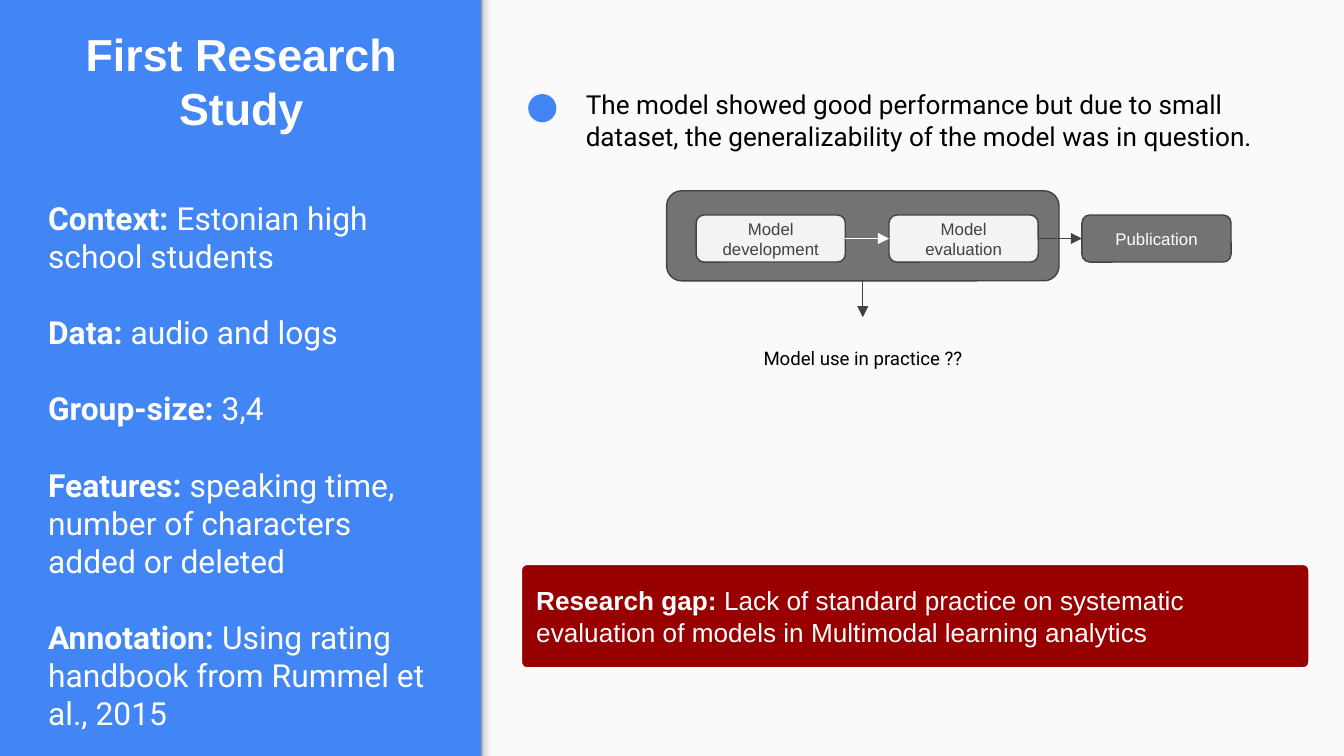
import copy

import pptx
import pptx.dml.color
import pptx.enum.dml
import pptx.enum.shapes
import pptx.enum.text
import pptx.oxml.ns
import pptx.util
from lxml import etree

RGB = pptx.dml.color.RGBColor
KIND = pptx.enum.shapes.MSO_SHAPE
ALIGN = pptx.enum.text.PP_ALIGN
ANCHOR = pptx.enum.text.MSO_ANCHOR
NAME = pptx.oxml.ns.qn

BLUE = RGB(0x42, 0x85, 0xF4)
PAPER = RGB(0xFA, 0xFA, 0xFA)
WHITE = RGB(0xFF, 0xFF, 0xFF)
BLACK = RGB(0, 0, 0)
DARK = RGB(0x42, 0x42, 0x42)
GRAY = RGB(0x73, 0x73, 0x73)
LIGHT = RGB(0xF3, 0xF3, 0xF3)
RED = RGB(0x98, 0, 0)
SHADE = [(0, RGB(0x99, 0x99, 0x99)), (0.2, RGB(0xDE, 0xDE, 0xDE)),
         (0.64, RGB(0xF9, 0xF9, 0xF9)), (1, RGB(0xF9, 0xF9, 0xF9))]

WIDE, HIGH = 2000, 1125
SCALE = 4572  # EMU in one px, 200 px to the inch


def emu(*sizes):
    return [pptx.util.Emu(size * SCALE) for size in sizes]


class Deck:
    head = "Arial"
    body = "Roboto"
    inset = 20
    line = pptx.util.Pt(0.75)

    def __init__(self):
        self.file = pptx.Presentation()
        self.file.slide_width, self.file.slide_height = emu(WIDE, HIGH)
        self.slide = self.file.slides.add_slide(self.file.slide_layouts[5])
        fill = self.slide.background.fill
        fill.solid()
        fill.fore_color.rgb = BLUE

    def label(self, shape, paras, size, font, color, align=ALIGN.LEFT,
              anchor=ANCHOR.TOP, gap=0):
        """Each paragraph is a pair: bold lead, plain rest."""
        frame = shape.text_frame
        frame.word_wrap = True
        frame.auto_size = pptx.enum.text.MSO_AUTO_SIZE.NONE
        frame.vertical_anchor = anchor
        (frame.margin_left, frame.margin_top, frame.margin_right,
         frame.margin_bottom) = emu(*[self.inset] * 4)
        for i, (lead, rest) in enumerate(paras):
            para = frame.add_paragraph() if i else frame.paragraphs[0]
            para.alignment = align
            para.space_before = pptx.util.Pt(gap if i else 0)
            for words, bold in ((lead, True), (rest, False)):
                if not words:
                    continue
                run = para.add_run()
                run.text = words
                run.font.name = font
                run.font.size = pptx.util.Pt(size)
                run.font.bold = bold
                run.font.color.rgb = color

    def title(self, box, words):
        shape = self.slide.shapes.title
        shape.left, shape.top, shape.width, shape.height = emu(*box)
        self.label(shape, [(words, "")], 24, self.head, WHITE, ALIGN.CENTER)

    def text(self, box, paras, size, color, **style):
        shape = self.slide.shapes.add_textbox(*emu(*box))
        self.label(shape, paras, size, self.body, color, **style)

    def shape(self, kind, box, fill=None, line=None, curve=None):
        shape = self.slide.shapes.add_shape(kind, *emu(*box))
        shape.shadow.inherit = False
        if fill is not None:
            shape.fill.solid()
            shape.fill.fore_color.rgb = fill
        if line is None:
            shape.line.fill.background()
        else:
            shape.line.color.rgb = line
            shape.line.width = self.line
        if curve is not None:
            shape.adjustments[0] = curve
        return shape

    def fade(self, box, stops):
        shape = self.shape(KIND.RECTANGLE, box)
        fill = shape.fill
        fill.gradient()
        fill.gradient_angle = 0
        marks = next(shape.element.iter(NAME("a:gsLst")))
        while len(marks) < len(stops):
            marks.append(copy.deepcopy(marks[-1]))
        for stop, (place, color) in zip(fill.gradient_stops, stops):
            stop.position = place
            stop.color.rgb = color

    def step(self, box, words, fill, color):
        shape = self.shape(KIND.ROUNDED_RECTANGLE, box, fill, DARK, 0.167)
        self.label(shape, [("", words)], 9, self.head, color,
                   ALIGN.CENTER, ANCHOR.MIDDLE)

    def arrow(self, start, end, color):
        link = self.slide.shapes.add_connector(
            pptx.enum.shapes.MSO_CONNECTOR.STRAIGHT, *emu(*start, *end))
        link.line.color.rgb = color
        link.line.width = self.line
        props = link.element.spPr
        etree.SubElement(props.find(NAME("a:ln")), NAME("a:tailEnd"),
                         type="triangle")
        etree.SubElement(props, NAME("a:effectLst"))


def main():
    deck = Deck()

    # Right panel with its soft edge
    deck.shape(KIND.RECTANGLE, (716, 0, WIDE - 716, HIGH), PAPER)
    deck.fade((716, 0, 24, HIGH), SHADE)

    # Left column
    deck.title((52, 20, 614, 198), "First Research Study")
    facts = [
        ("Context: ", "Estonian high school students"),
        ("Data: ", "audio and logs"),
        ("Group-size:", " 3,4"),
        ("Features:", " speaking time, number of characters added or deleted"),
        ("Annotation: ", "Using rating handbook from Rummel et al., 2015"),
    ]
    deck.text((52, 276, 614, 792), facts, 17, WHITE, gap=20.4)

    # Main point
    deck.shape(KIND.OVAL, (786, 140, 42, 42), BLUE)
    deck.text((852, 112, 1038, 134), [("", (
        "The model showed good performance but due to small dataset, "
        "the generalizability of the model was in question."))], 14, BLACK)

    # Flow: three equal steps, the first two inside a frame
    deck.shape(KIND.ROUNDED_RECTANGLE, (992, 284, 584, 134), GRAY, DARK, 0.167)
    left, top, wide, high, pitch = 1036, 320, 222, 70, 287
    steps = [("Model development", LIGHT, DARK),
             ("Model evaluation", LIGHT, DARK),
             ("Publication", GRAY, WHITE)]
    for i, (words, fill, color) in enumerate(steps):
        deck.step((left + i * pitch, top, wide, high), words, fill, color)
    mid = top + high // 2
    for i, color in enumerate((WHITE, DARK)):
        start = left + i * pitch + wide
        deck.arrow((start, mid), (left + (i + 1) * pitch, mid), color)
    deck.arrow((1284, 418), (1284, 472), DARK)
    deck.text((1112, 496, 344, 74), [("", "Model use in practice ??")],
              10, BLACK, align=ALIGN.CENTER)

    # Research gap
    gap = deck.shape(KIND.ROUNDED_RECTANGLE, (776, 840, 1172, 154),
                     RED, WHITE, 0.054)
    deck.label(gap, [("Research gap: ", (
        "Lack of standard practice on systematic evaluation of models "
        "in Multimodal learning analytics"))], 14, deck.head, WHITE,
        anchor=ANCHOR.MIDDLE)

    deck.file.save("out.pptx")


if __name__ == "__main__":
    main()
